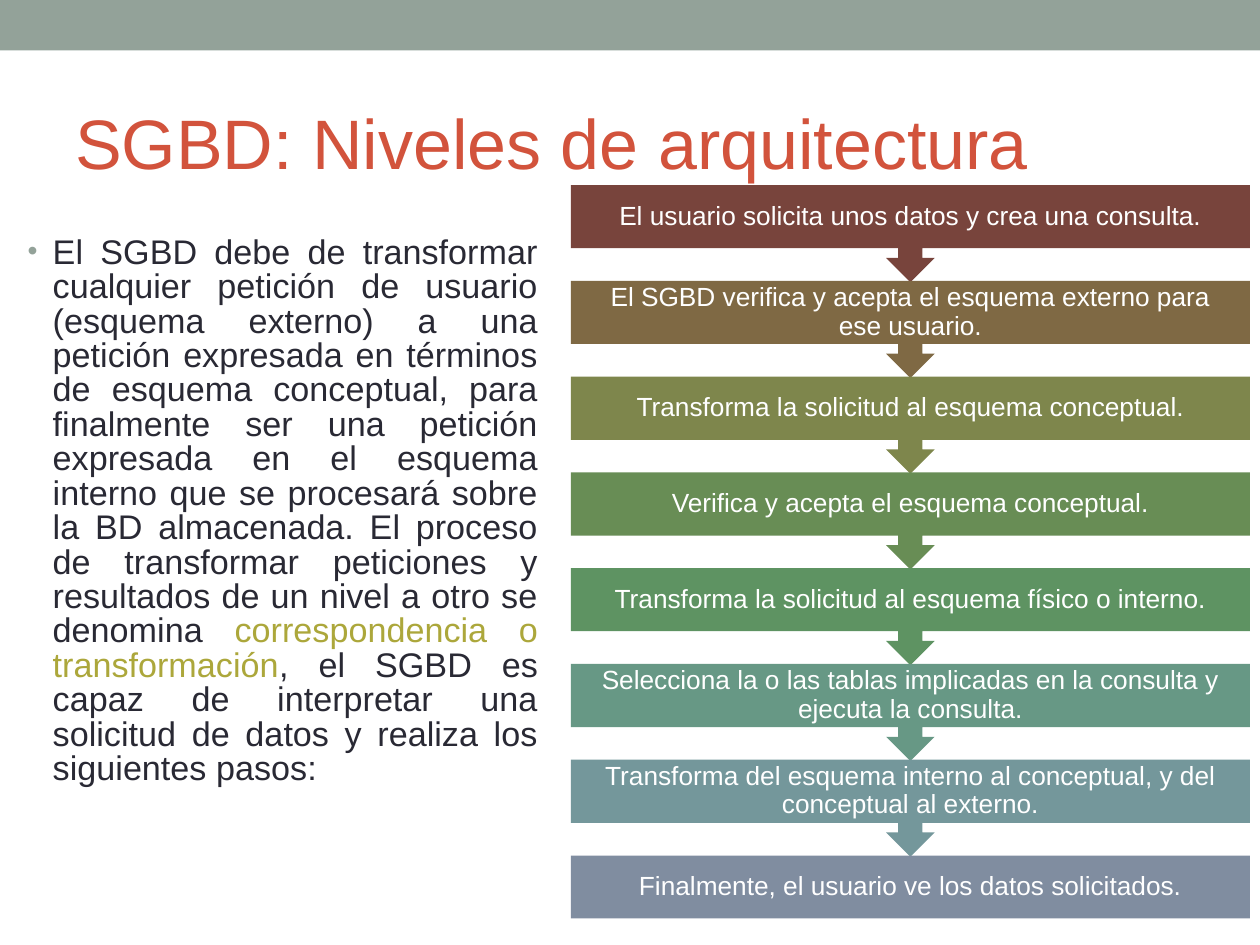
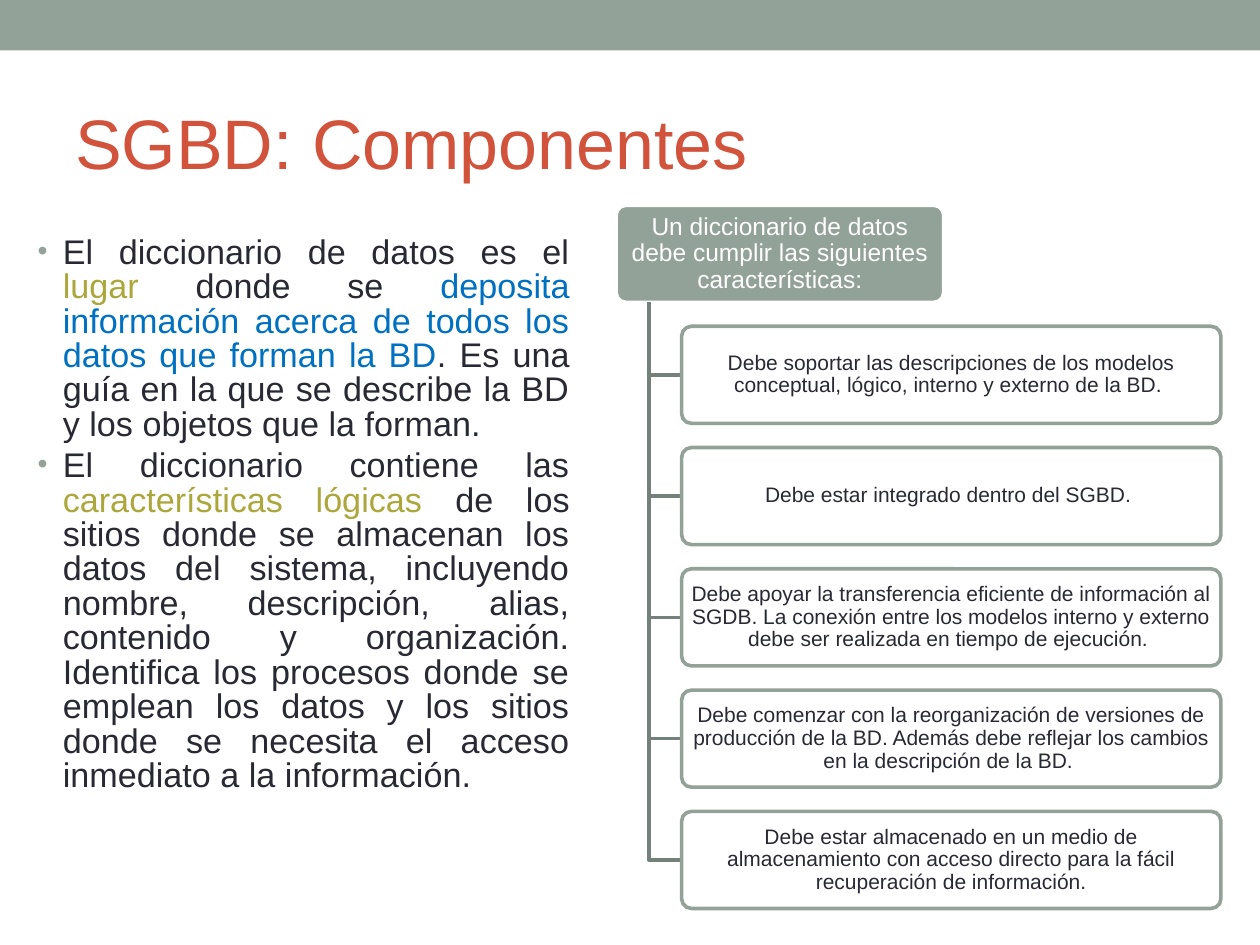
from lxml import etree
from pptx import Presentation
from pptx.dml.color import RGBColor
from pptx.enum import shapes, text
from pptx.oxml.ns import qn
from pptx.util import Inches, Pt

SAGE = RGBColor(0x93, 0xA2, 0x99)
DARK_SAGE = RGBColor(0x73, 0x81, 0x7A)
RED = RGBColor(0xD2, 0x53, 0x3C)
INK = RGBColor(0x29, 0x29, 0x34)
OLIVE = RGBColor(0xAC, 0xA7, 0x3B)
BLUE = RGBColor(0x00, 0x70, 0xC0)
WHITE = RGBColor(0xFF, 0xFF, 0xFF)
FONT = "Arial"
KIND = shapes.MSO_SHAPE
ALIGN = text.PP_ALIGN

# Paragraphs are lists of (words, colour) runs.
LEVELS = {
    "title": "SGBD: Niveles de arquitectura",
    "body_at": (0.12, 1.83, 4.25, 5.16),
    "body": [[
        ("El SGBD debe de transformar cualquier petición de usuario (esquema externo) a una "
         "petición expresada en términos de esquema conceptual, para finalmente ser una "
         "petición expresada en el esquema interno que se procesará sobre la BD almacenada. "
         "El proceso de transformar peticiones y resultados de un nivel a otro se denomina ", INK),
        ("correspondencia o transformación", OLIVE),
        (", el SGBD es capaz de interpretar una solicitud de datos y realiza los siguientes "
         "pasos:", INK),
    ]],
}
STEPS = [
    ("El usuario solicita unos datos y crea una consulta.", RGBColor(0x78, 0x44, 0x3C)),
    ("El SGBD verifica y acepta el esquema externo para ese usuario.", RGBColor(0x7F, 0x69, 0x44)),
    ("Transforma la solicitud al esquema conceptual.", RGBColor(0x7E, 0x86, 0x4C)),
    ("Verifica y acepta el esquema conceptual.", RGBColor(0x68, 0x8D, 0x55)),
    ("Transforma la solicitud al esquema físico o interno.", RGBColor(0x5E, 0x93, 0x62)),
    ("Selecciona la o las tablas implicadas en la consulta y ejecuta la consulta.",
     RGBColor(0x67, 0x98, 0x85)),
    ("Transforma del esquema interno al conceptual, y del conceptual al externo.",
     RGBColor(0x74, 0x97, 0x9B)),
    ("Finalmente, el usuario ve los datos solicitados.", RGBColor(0x80, 0x8D, 0xA0)),
]
COMPONENTS = {
    "title": "SGBD: Componentes",
    "body_at": (0.2, 1.83, 4.42, 5.16),
    "body": [
        [("El diccionario de datos es el ", INK), ("lugar", OLIVE), (" donde se ", INK),
         ("deposita información acerca de todos los datos que forman la BD", BLUE),
         (". Es una guía en la que se describe la BD y los objetos que la forman.", INK)],
        [("El diccionario contiene las ", INK), ("características lógicas ", OLIVE),
         ("de los sitios donde se almacenan los datos del sistema, incluyendo nombre, "
          "descripción, alias, contenido y organización. Identifica los procesos donde se "
          "emplean los datos y los sitios donde se necesita el acceso inmediato a la "
          "información.", INK)],
    ],
}
DICTIONARY = "Un diccionario de datos debe cumplir las siguientes características:"
REQUIREMENTS = [
    "Debe soportar las descripciones de los modelos conceptual, lógico, interno y externo de la BD. ",
    "Debe estar integrado dentro del SGBD. ",
    "Debe apoyar la transferencia eficiente de información al SGDB. La conexión entre los "
    "modelos interno y externo debe ser realizada en tiempo de ejecución. ",
    "Debe comenzar con la reorganización de versiones de producción de la BD. Además debe "
    "reflejar los cambios en la descripción de la BD. ",
    "Debe estar almacenado en un medio de almacenamiento con acceso directo para la fácil "
    "recuperación de información.",
]


def inches(values):
    return [Inches(v) for v in values]


def set_frame(sp, inset_x, inset_y, anchor):
    tf = sp.text_frame
    values = {"word_wrap": True, "auto_size": text.MSO_AUTO_SIZE.NONE, "vertical_anchor": anchor,
              "margin_left": Inches(inset_x), "margin_right": Inches(inset_x),
              "margin_top": Inches(inset_y), "margin_bottom": Inches(inset_y)}
    for name, value in values.items():
        setattr(tf, name, value)
    return tf


def write(p, runs, size, **paragraph_format):
    for name, value in paragraph_format.items():
        setattr(p, name, value)
    for words, colour in runs:
        r = p.add_run()
        r.text = words
        r.font.name, r.font.size = FONT, Pt(size)
        r.font.color.rgb = colour


def add_bullet(p):
    pPr = p._p.get_or_add_pPr()
    pPr.set("marL", str(Inches(0.2)))
    pPr.set("indent", str(Inches(-0.2)))
    colour = etree.SubElement(pPr, qn("a:buClr"))
    etree.SubElement(colour, qn("a:srgbClr"), val=str(SAGE))
    etree.SubElement(pPr, qn("a:buSzPct"), val="83000")
    etree.SubElement(pPr, qn("a:buFont"), typeface=FONT)
    etree.SubElement(pPr, qn("a:buChar"), char="•")


def set_line(sp, colour):
    sp.line.color.rgb = colour
    sp.line.width = Pt(2.08)


def add_box(slide, kind, at, fill, line=None, adjust=()):
    sp = slide.shapes.add_shape(kind, *inches(at))
    sp.shadow.inherit = False
    sp.fill.solid()
    sp.fill.fore_color.rgb = fill
    if line is None:
        sp.line.fill.background()
    else:
        set_line(sp, line)
    for i, value in enumerate(adjust):
        sp.adjustments[i] = value
    return sp


def label(sp, words, colour, size, inset_x, inset_y):
    tf = set_frame(sp, inset_x, inset_y, text.MSO_ANCHOR.MIDDLE)
    write(tf.paragraphs[0], [(words, colour)], size, alignment=ALIGN.CENTER, line_spacing=0.9)


def add_base_slide(prs, content):
    """Add a slide with the top band, the title and the bulleted body."""
    slide = prs.slides.add_slide(prs.slide_layouts[6])
    add_box(slide, KIND.RECTANGLE, (0, 0, 10, 0.4), SAGE)
    title = slide.shapes.add_textbox(*inches((0.5, 0.58, 9, 1.08)))
    tf = set_frame(title, 0.1, 0.05, text.MSO_ANCHOR.MIDDLE)
    write(tf.paragraphs[0], [(content["title"], RED)], 40)

    body = slide.shapes.add_textbox(*inches(content["body_at"]))
    tf = set_frame(body, 0.1, 0.05, text.MSO_ANCHOR.TOP)
    for i, runs in enumerate(content["body"]):
        p = tf.add_paragraph() if i else tf.paragraphs[0]
        write(p, runs, 19.5, alignment=ALIGN.JUSTIFY, line_spacing=0.84,
              space_before=Pt(3.9 if i else 0))
        add_bullet(p)
    return slide


def add_steps(slide):
    left, top, width, pitch = 4.53, 1.47, 5.39, 0.76
    for i, (words, colour) in enumerate(STEPS):
        y = top + i * pitch
        if i < len(STEPS) - 1:
            sp = add_box(slide, KIND.DOWN_ARROW_CALLOUT, (left, y, width, 0.77), colour,
                         adjust=(0.25, 0.25, 0.25, 0.65))
        else:
            sp = add_box(slide, KIND.RECTANGLE, (left, y, width, 0.5), colour)
        label(sp, words, WHITE, 15, 0.12, 0.02)


def add_requirements(slide):
    height, trunk_x, trunk_top = 0.77, 5.15, 2.4
    left, top, last_top, width = 5.41, 2.59, 6.44, 4.28
    pitch = (last_top - top) / (len(REQUIREMENTS) - 1)
    head = add_box(slide, KIND.ROUNDED_RECTANGLE, (4.89, 1.63, 2.6, height), SAGE, WHITE, (0.1,))
    label(head, DICTIONARY, WHITE, 14, 0.05, 0.02)
    for i, words in enumerate(REQUIREMENTS):
        y = top + i * pitch
        middle = y + height / 2
        elbow = slide.shapes.build_freeform(Inches(trunk_x), Inches(trunk_top))
        elbow.add_line_segments([inches((trunk_x, middle)), inches((left, middle))], close=False)
        branch = elbow.convert_to_shape()
        branch.shadow.inherit = False
        branch.fill.background()
        set_line(branch, DARK_SAGE)
        sp = add_box(slide, KIND.ROUNDED_RECTANGLE, (left, y, width, height), WHITE, SAGE, (0.1,))
        label(sp, words, INK, 12, 0.02, 0.02)


def main():
    prs = Presentation()
    prs.slide_width, prs.slide_height = inches((10, 7.5))
    add_steps(add_base_slide(prs, LEVELS))
    add_requirements(add_base_slide(prs, COMPONENTS))
    prs.save("out.pptx")


if __name__ == "__main__":
    main()
